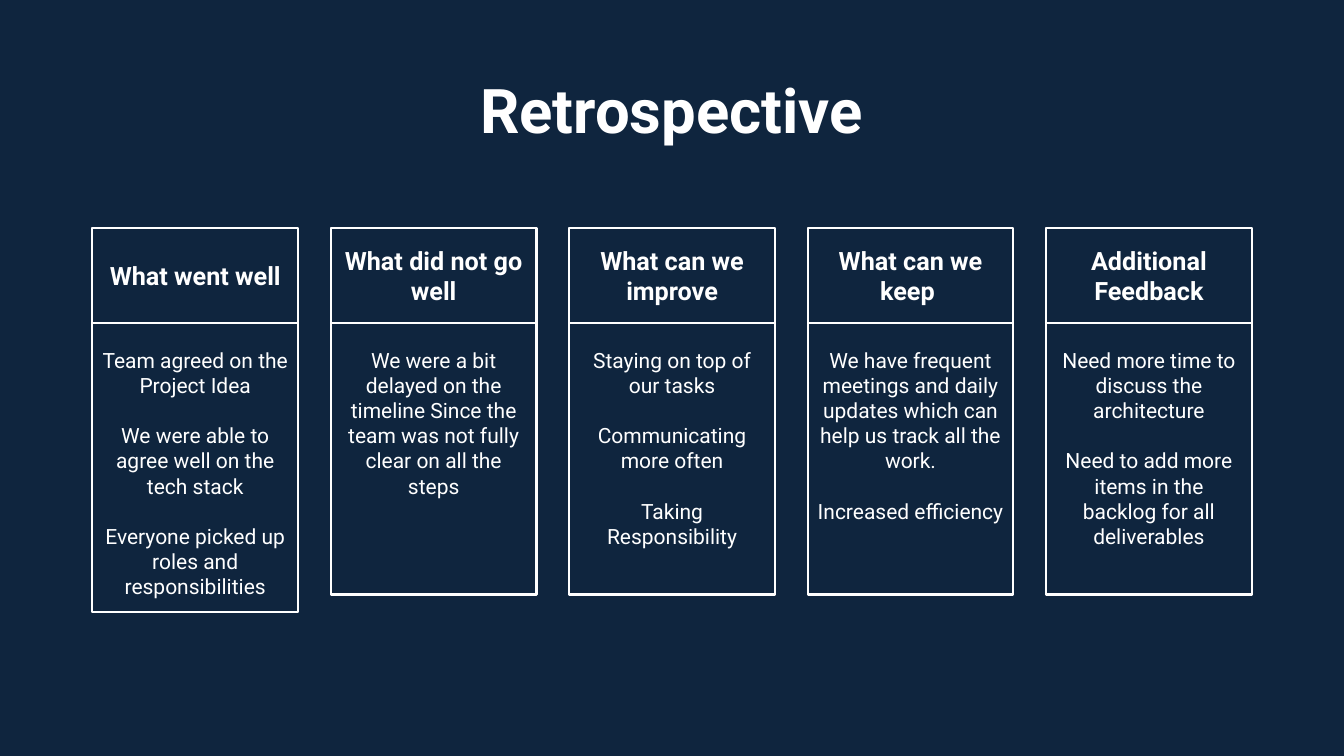
from pptx import Presentation
from pptx.dml.color import RGBColor
from pptx.enum.shapes import MSO_SHAPE as Shape
from pptx.enum.text import MSO_ANCHOR as Anchor, PP_ALIGN as Align
from pptx.util import Pt

NAVY, WHITE = "0F253E", "FFFFFF"
FONT = "Roboto"
HEADER_HEIGHT = 68
COLUMN_WIDTH, COLUMN_PITCH = 147, 170.3

# Heading, body height, entries
COLUMNS = [
    ("What went well", 206.6, [
        "Team agreed on the Project Idea",
        "We were able to agree well on the tech stack",
        "Everyone picked up roles and responsibilities"]),
    ("What did not go well", 194, [
        "We were a bit delayed on the timeline Since the team was not fully "
        "clear on all the steps"]),
    ("What can we improve", 194, [
        "Staying on top of our tasks",
        "Communicating more often",
        "Taking Responsibility"]),
    ("What can we keep ", 194, [
        "We have frequent meetings and daily updates which can help us track "
        "all the work.",
        "Increased efficiency"]),
    ("Additional Feedback", 194, [
        "Need more time to discuss the architecture",
        "Need to add more items in the backlog for all deliverables"]),
]


def color(value):
    return RGBColor.from_string(value)


def write(shape, texts, size, bold=False, anchor=Anchor.MIDDLE, top=3.6, gap=0):
    frame = shape.text_frame
    frame.word_wrap = True
    frame.vertical_anchor = anchor
    frame.margin_left = frame.margin_right = Pt(7.2)
    frame.margin_top, frame.margin_bottom = Pt(top), Pt(3.6)
    for index, text in enumerate(texts):
        paragraph = frame.add_paragraph() if index else frame.paragraphs[0]
        paragraph.text = text
        paragraph.alignment = Align.CENTER
        if index:
            paragraph.space_before = Pt(gap)
        font = paragraph.font
        font.name, font.size, font.bold = FONT, Pt(size), bold
        font.color.rgb = color(WHITE)


def add_frame(slide, left, top, width, height):
    shape = slide.shapes.add_shape(
        Shape.RECTANGLE, Pt(left), Pt(top), Pt(width), Pt(height))
    shape.shadow.inherit = False
    shape.fill.background()
    shape.line.color.rgb = color(WHITE)
    shape.line.width = Pt(1.5)
    return shape


def add_title(slide, left, top, width, height, text):
    box = slide.shapes.add_textbox(Pt(left), Pt(top), Pt(width), Pt(height))
    write(box, [text], 44, bold=True)
    box.text_frame.paragraphs[0].line_spacing = 0.9


def add_column(slide, left, top, width, body_height, heading, entries):
    # Body below the heading
    body = add_frame(slide, left, top + HEADER_HEIGHT, width, body_height)
    write(body, entries, 15, anchor=Anchor.TOP, top=17.3, gap=18)
    # Heading
    header = add_frame(slide, left, top, width, HEADER_HEIGHT)
    write(header, [heading], 18, bold=True)


def build_retrospective(presentation):
    slide = presentation.slides.add_slide(presentation.slide_layouts[6])
    slide.background.fill.solid()
    slide.background.fill.fore_color.rgb = color(NAVY)
    add_title(slide, 66, 29, 828, 104, "Retrospective")
    for index, (heading, body_height, entries) in enumerate(COLUMNS):
        add_column(slide, 66 + index * COLUMN_PITCH, 162.7, COLUMN_WIDTH,
                   body_height, heading, entries)


def main():
    presentation = Presentation()
    presentation.slide_width, presentation.slide_height = Pt(960), Pt(540)
    build_retrospective(presentation)
    presentation.save("out.pptx")


if __name__ == "__main__":
    main()
